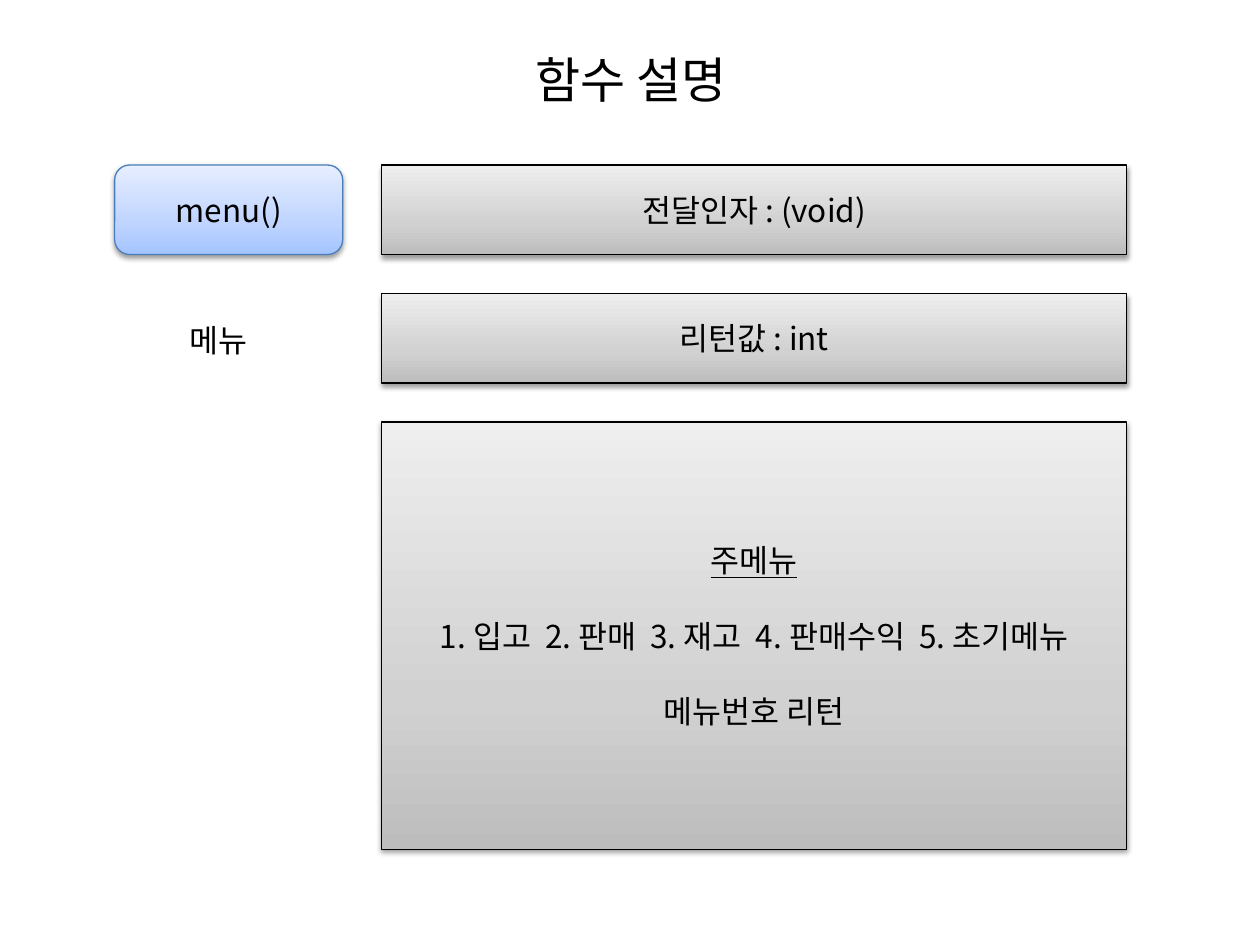
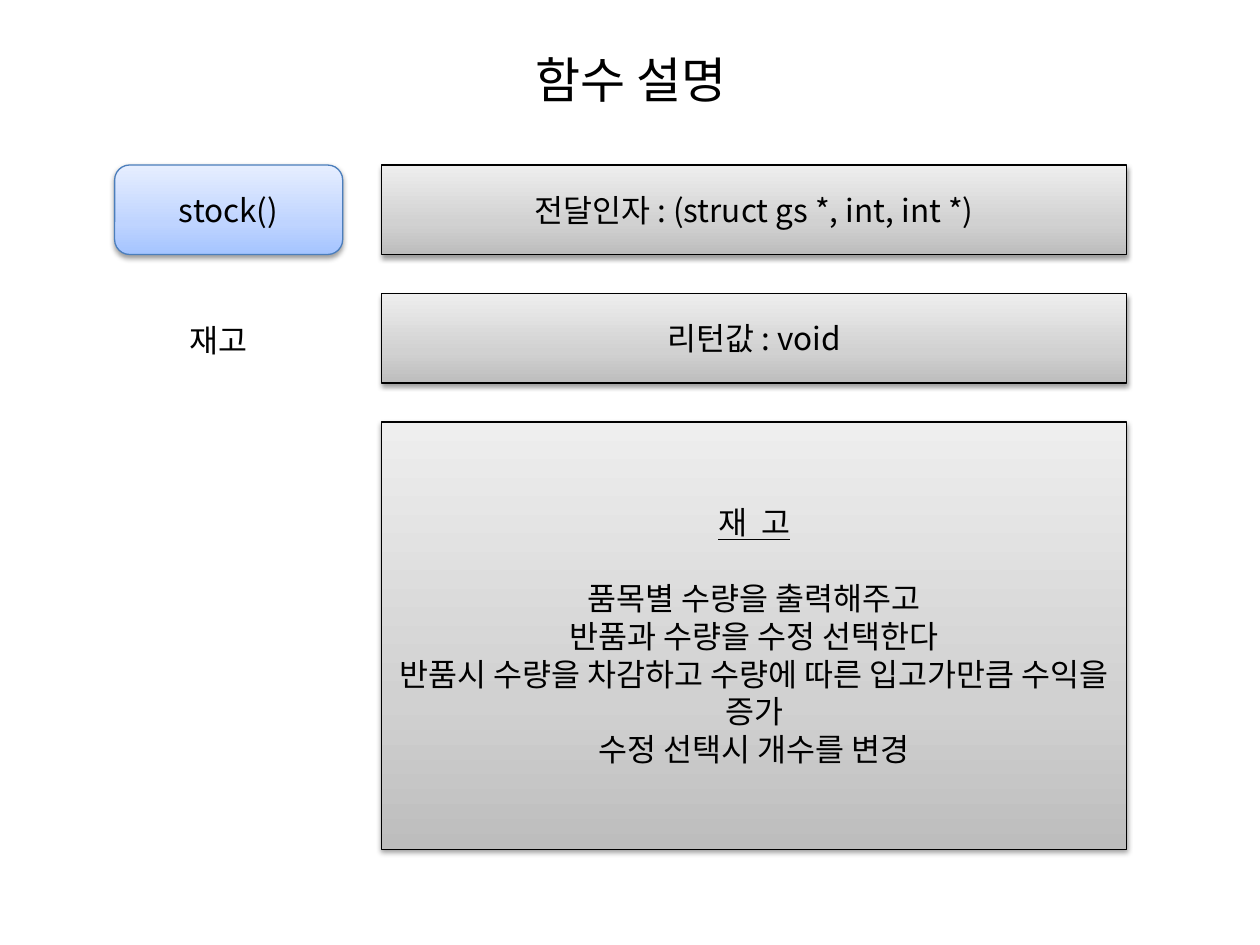
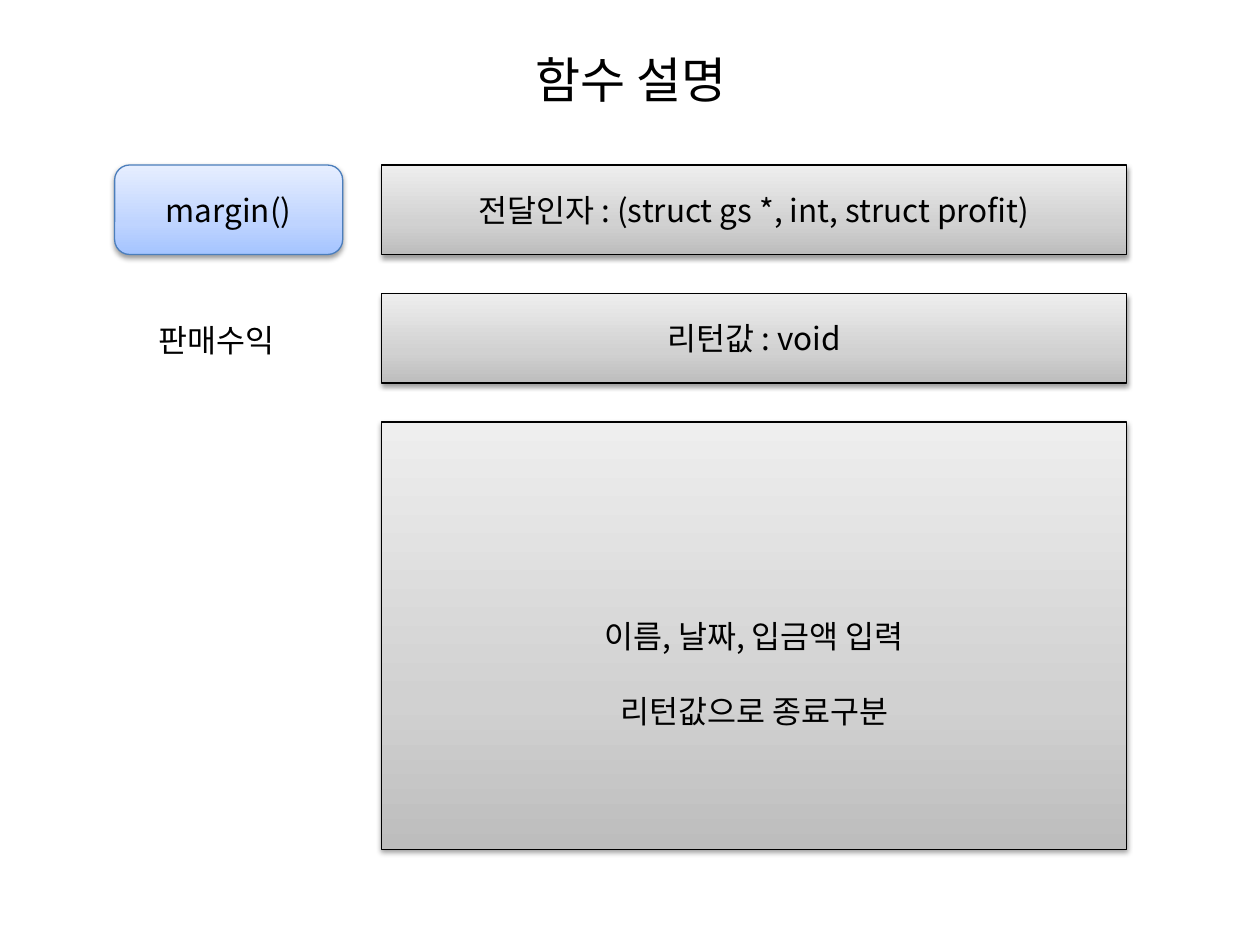
from dataclasses import dataclass
from typing import Any

from lxml import etree
from pptx import Presentation
from pptx import util as u
from pptx.dml import color
from pptx.enum import shapes, text
from pptx.oxml import ns


@dataclass(frozen=True)
class Look:
    stops: tuple[tuple[int, str], ...]
    line: str
    form: Any


@dataclass(frozen=True)
class Theme:
    font: str = "Noto Sans CJK KR"
    ink: str = "000000"
    title: int = 28
    body: int = 18
    lead: float = 1.2
    blue: Look = Look(
        ((0, "A4C4FF"), (35, "BFD4FF"), (100, "E6EEFF")),
        "4B7EBC",
        shapes.MSO_SHAPE.ROUNDED_RECTANGLE,
    )
    gray: Look = Look(
        ((0, "BDBDBD"), (35, "D1D1D1"), (100, "EEEEEE")),
        "000000",
        shapes.MSO_SHAPE.RECTANGLE,
    )


@dataclass(frozen=True)
class Box:
    left: float
    top: float
    width: float
    height: float

    def place(self) -> tuple[u.Length, ...]:
        return tuple(u.Inches(n) for n in (self.left, self.top, self.width, self.height))


@dataclass(frozen=True)
class Line:
    words: str
    skip: int = 0
    under: bool = False


@dataclass(frozen=True)
class Func:
    name: str
    label: str
    args: str
    back: str
    notes: tuple[Line, ...]


THEME = Theme()
TITLE = "함수 설명"
TOP, ROW, GAP = 1.31, 0.71, 0.31
SIDE, WIDE = 3.03, 5.91
MID = 1.76

FUNCS = (
    Func("menu()", "메뉴", "(void)", "int", (
        Line("주메뉴", under=True),
        Line("1. 입고  2. 판매  3. 재고  4. 판매수익  5. 초기메뉴", 1),
        Line("메뉴번호 리턴", 1),
    )),
    Func("stock()", "재고", "(struct gs *, int, int *)", "void", (
        Line("재  고", under=True),
        Line("품목별 수량을 출력해주고", 1),
        Line("반품과 수량을 수정 선택한다"),
        Line("반품시 수량을 차감하고 수량에 따른 입고가만큼 수익을 증가"),
        Line("수정 선택시 개수를 변경"),
    )),
    Func("margin()", "판매수익", "(struct gs *, int, struct profit)", "void", (
        Line("이름, 날짜, 입금액 입력", 2),
        Line("리턴값으로 종료구분", 1),
    )),
)


def apply(item: Any, form: dict[str, Any]) -> None:
    for key, value in form.items():
        setattr(item, key, value)


def add(base: Any, tag: str, **attrs: Any) -> Any:
    return etree.SubElement(base, ns.qn(tag), {k: str(v) for k, v in attrs.items()})


def write(shape: Any, lines: tuple[Line, ...], size: int = THEME.body,
          align: Any = text.PP_ALIGN.CENTER, wrap: bool = True) -> None:
    frame = shape.text_frame
    pitch = size * THEME.lead
    apply(frame, {
        "word_wrap": wrap,
        "vertical_anchor": text.MSO_ANCHOR.MIDDLE,
        "margin_top": u.Inches(0.05) + u.Pt(lines[0].skip * pitch),
    })
    for i, line in enumerate(lines):
        para = frame.add_paragraph() if i else frame.paragraphs[0]
        apply(para, {
            "alignment": align,
            "line_spacing": u.Pt(pitch),
            "space_before": u.Pt(line.skip * pitch if i else 0),
        })
        run = para.add_run()
        run.text = line.words
        apply(run.font, {"name": THEME.font, "size": u.Pt(size), "underline": line.under})
        run.font.color.rgb = color.RGBColor.from_string(THEME.ink)
        add(run._r.get_or_add_rPr(), "a:ea", typeface=THEME.font)


def label(slide: Any, box: Box, words: str, **form: Any) -> None:
    write(slide.shapes.add_textbox(*box.place()), (Line(words),), **form)


def card(slide: Any, box: Box, look: Look, *lines: Line) -> None:
    shape = slide.shapes.add_shape(look.form, *box.place())
    shape.fill.gradient()
    shape.fill.gradient_angle = 90
    props = shape._element.spPr
    stops = props.find(".//" + ns.qn("a:gsLst"))
    for old in list(stops):
        stops.remove(old)
    for pos, tone in look.stops:
        add(add(stops, "a:gs", pos=pos * 1000), "a:srgbClr", val=tone)
    shape.line.color.rgb = color.RGBColor.from_string(look.line)
    shape.line.width = u.Pt(0.75)
    shape.shadow.inherit = False
    shade = add(props.find(ns.qn("a:effectLst")), "a:outerShdw", blurRad=u.Pt(3.1),
                dist=u.Pt(1.6), dir=5400000, rotWithShape=0)
    add(add(shade, "a:srgbClr", val=THEME.ink), "a:alpha", val=38000)
    write(shape, lines)


def draw(deck: Any, func: Func) -> None:
    slide = deck.slides.add_slide(deck.slide_layouts[6])
    label(slide, Box(0.51, 0, 9, 1.25), TITLE, size=THEME.title)
    card(slide, Box(0.91, TOP, 1.81, ROW), THEME.blue, Line(func.name))
    rows = (
        (ROW, (Line(f"전달인자 : {func.args}"),)),
        (ROW, (Line(f"리턴값 : {func.back}"),)),
        (3.39, func.notes),
    )
    top = TOP
    for height, lines in rows:
        card(slide, Box(SIDE, top, WIDE, height), THEME.gray, *lines)
        top += height + GAP
    width = 0.2 + 0.25 * len(func.label)
    label(slide, Box(MID - width / 2, 2.5, width, 0.4), func.label,
          align=text.PP_ALIGN.LEFT, wrap=False)


def main() -> None:
    deck = Presentation()
    apply(deck, {"slide_width": u.Inches(10), "slide_height": u.Inches(7.5)})
    for func in FUNCS:
        draw(deck, func)
    deck.save("out.pptx")


if __name__ == "__main__":
    main()
